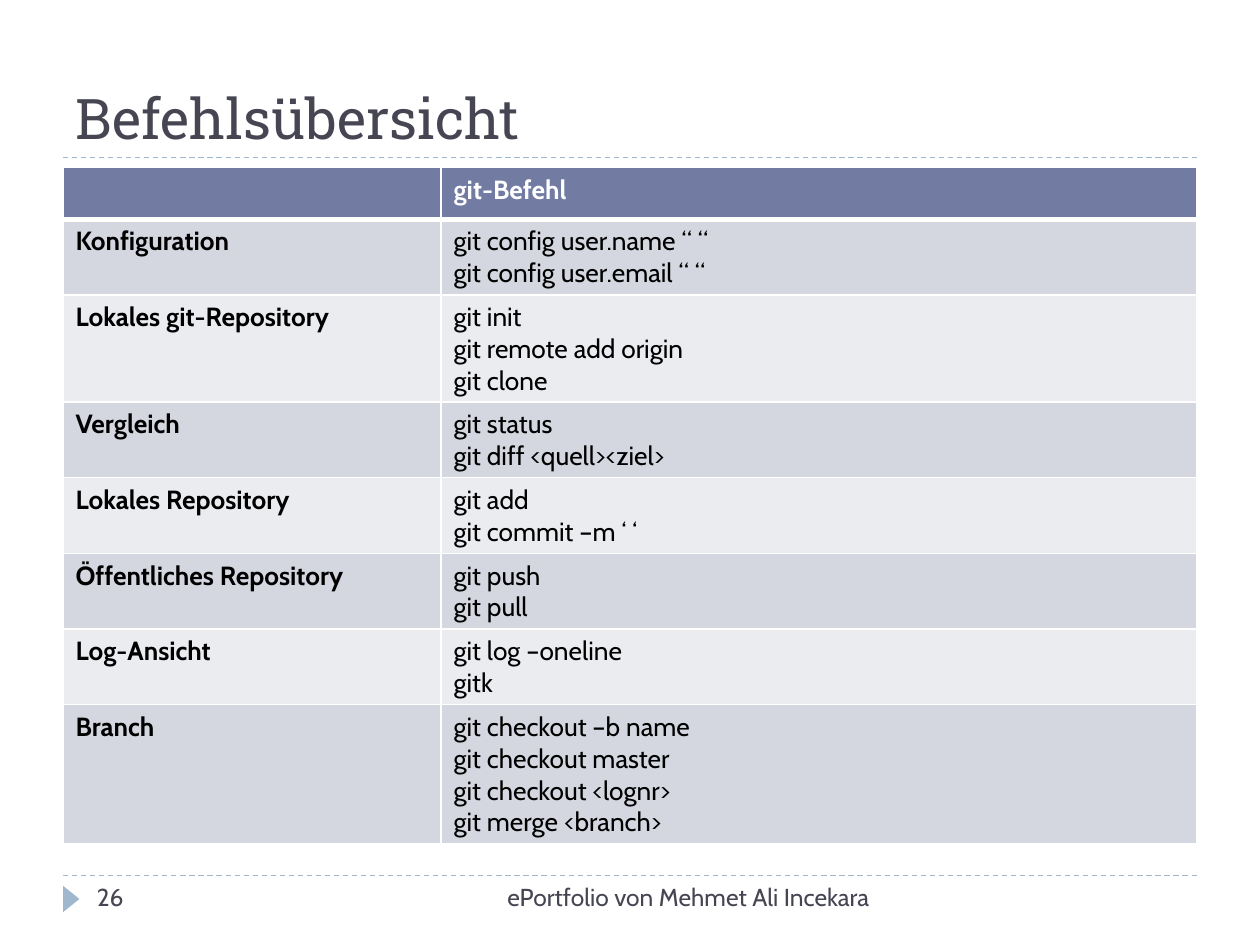
from dataclasses import dataclass

from lxml import etree
from pptx import Presentation
from pptx.dml.color import RGBColor
from pptx.enum.dml import MSO_LINE
from pptx.enum.shapes import MSO_CONNECTOR, MSO_SHAPE
from pptx.enum.text import MSO_ANCHOR, MSO_AUTO_SIZE, PP_ALIGN
from pptx.oxml.ns import qn
from pptx.util import Inches, Pt

DASH = MSO_LINE.DASH
STRAIGHT = MSO_CONNECTOR.STRAIGHT
TRIANGLE = MSO_SHAPE.ISOSCELES_TRIANGLE
BOTTOM = MSO_ANCHOR.BOTTOM
NO_AUTOFIT = MSO_AUTO_SIZE.NONE
LEFT, RIGHT = PP_ALIGN.LEFT, PP_ALIGN.RIGHT
TITLE_ONLY = 5


@dataclass(frozen=True)
class Theme:
    """Colours, fonts and type sizes of the slide."""

    heading_font: str = "Roboto Slab"
    body_font: str = "Cabin"
    title_size: float = 32
    table_size: float = 15
    footer_size: float = 14
    ink: str = "464653"
    accent: str = "9FB8CD"
    header: str = "727CA3"
    bands: tuple[str, str] = ("D5D7E0", "EBECF0")
    black: str = "000000"
    white: str = "FFFFFF"


@dataclass(frozen=True)
class CommandGroup:
    """A topic and the commands that belong to it."""

    topic: str
    commands: tuple[str, ...]


@dataclass(frozen=True)
class FooterText:
    """A text in the footer with its horizontal extent."""

    text: str
    left: float
    width: float
    alignment: PP_ALIGN


THEME = Theme()
MARGIN, CONTENT_WIDTH = 0.5, 9
TITLE_RULE, FOOTER_RULE = 1.25, 6.95
TABLE_TOP = 1.33
COLUMN_WIDTHS = (3, 6)
HEADER_HEIGHT, LINE_HEIGHT, CELL_PADDING = 0.41, 0.25, 0.1

GROUPS = (
    CommandGroup("Konfiguration", ("git config user.name “ “", "git config user.email “ “")),
    CommandGroup("Lokales git-Repository", ("git init", "git remote add origin", "git clone")),
    CommandGroup("Vergleich", ("git status", "git diff <quell><ziel>")),
    CommandGroup("Lokales Repository", ("git add", "git commit –m ‘ ‘")),
    CommandGroup("Öffentliches Repository", ("git push", "git pull")),
    CommandGroup("Log-Ansicht", ("git log –oneline", "gitk")),
    CommandGroup("Branch", ("git checkout –b name", "git checkout master",
                            "git checkout <lognr>", "git merge <branch>")),
)
FOOTER = (
    FooterText("ePortfolio von Mehmet Ali Incekara", 3.17, 3.83, RIGHT),
    FooterText("26", 0.67, 2.17, LEFT),
)


def style_font(font, name: str, size: float, color: str, bold: bool = False) -> None:
    """Apply typeface, size, colour and weight."""
    font.name = name
    font.size = Pt(size)
    font.bold = bold
    font.color.rgb = RGBColor.from_string(color)


def add_rule(slide, top: float) -> None:
    """Draw a dashed line across the content width."""
    rule = slide.shapes.add_connector(
        STRAIGHT, Inches(MARGIN), Inches(top), Inches(MARGIN + CONTENT_WIDTH), Inches(top))
    rule.line.color.rgb = RGBColor.from_string(THEME.accent)
    rule.line.width = Pt(0.75)
    rule.line.dash_style = DASH
    etree.SubElement(rule._element.spPr, qn("a:effectLst"))


def add_page_marker(slide) -> None:
    """Draw the triangle that points to the page number."""
    marker = slide.shapes.add_shape(
        TRIANGLE, Inches(0.46), Inches(7.07), Inches(0.21), Inches(0.13))
    marker.rotation = 90
    marker.shadow.inherit = False
    marker.fill.solid()
    marker.fill.fore_color.rgb = RGBColor.from_string(THEME.accent)
    marker.line.fill.background()


def set_title(slide, text: str) -> None:
    """Place and format the title placeholder."""
    title = slide.shapes.title
    title.left, title.top = Inches(MARGIN), Inches(0.17)
    title.width, title.height = Inches(CONTENT_WIDTH), Inches(1.08)
    frame = title.text_frame
    frame.text = text
    frame.auto_size = NO_AUTOFIT
    frame.vertical_anchor = BOTTOM
    paragraph = frame.paragraphs[0]
    paragraph.alignment = LEFT
    style_font(paragraph.font, THEME.heading_font, THEME.title_size, THEME.ink)


def add_footer_text(slide, footer: FooterText) -> None:
    """Add one text below the footer line."""
    box = slide.shapes.add_textbox(
        Inches(footer.left), Inches(FOOTER_RULE), Inches(footer.width), Inches(0.4))
    box.text_frame.word_wrap = True
    paragraph = box.text_frame.paragraphs[0]
    paragraph.text = footer.text
    paragraph.alignment = footer.alignment
    style_font(paragraph.font, THEME.body_font, THEME.footer_size, THEME.ink)


def add_cell_borders(cell, bottom_width: float) -> None:
    """Give a cell white borders, placed ahead of its fill."""
    properties = cell._tc.get_or_add_tcPr()
    widths = {"a:lnL": 1, "a:lnR": 1, "a:lnT": 1, "a:lnB": bottom_width}
    for position, (tag, width) in enumerate(widths.items()):
        border = etree.Element(qn(tag), w=str(Pt(width)))
        fill = etree.SubElement(border, qn("a:solidFill"))
        etree.SubElement(fill, qn("a:srgbClr"), val=THEME.white)
        properties.insert(position, border)


def fill_cell(cell, lines: tuple[str, ...], fill: str, color: str, bold: bool,
              bottom_width: float = 1) -> None:
    """Write the lines of a cell and set its look."""
    cell.text = "\n".join(lines)
    for paragraph in cell.text_frame.paragraphs:
        style_font(paragraph.font, THEME.body_font, THEME.table_size, color, bold)
    cell.fill.solid()
    cell.fill.fore_color.rgb = RGBColor.from_string(fill)
    add_cell_borders(cell, bottom_width)


def add_command_table(slide) -> None:
    """Build the table of commands by topic."""
    heights = [HEADER_HEIGHT] + [
        CELL_PADDING + LINE_HEIGHT * len(group.commands) for group in GROUPS]
    table = slide.shapes.add_table(
        len(heights), len(COLUMN_WIDTHS), Inches(MARGIN), Inches(TABLE_TOP),
        Inches(CONTENT_WIDTH), Inches(sum(heights))).table
    for column, width in zip(table.columns, COLUMN_WIDTHS):
        column.width = Inches(width)
    for row, height in zip(table.rows, heights):
        row.height = Inches(height)
    for column, heading in enumerate(("", "git-Befehl")):
        fill_cell(table.cell(0, column), (heading,), THEME.header, THEME.white, True, 3)
    for index, group in enumerate(GROUPS):
        band = THEME.bands[index % 2]
        fill_cell(table.cell(index + 1, 0), (group.topic,), band, THEME.black, True)
        fill_cell(table.cell(index + 1, 1), group.commands, band, THEME.black, False)


def main() -> None:
    """Build and save the presentation."""
    presentation = Presentation()
    presentation.slide_width, presentation.slide_height = Inches(10), Inches(7.5)
    slide = presentation.slides.add_slide(presentation.slide_layouts[TITLE_ONLY])
    for top in (FOOTER_RULE, TITLE_RULE):
        add_rule(slide, top)
    add_page_marker(slide)
    set_title(slide, "Befehlsübersicht")
    for footer in FOOTER:
        add_footer_text(slide, footer)
    add_command_table(slide)
    presentation.save("out.pptx")


if __name__ == "__main__":
    main()
